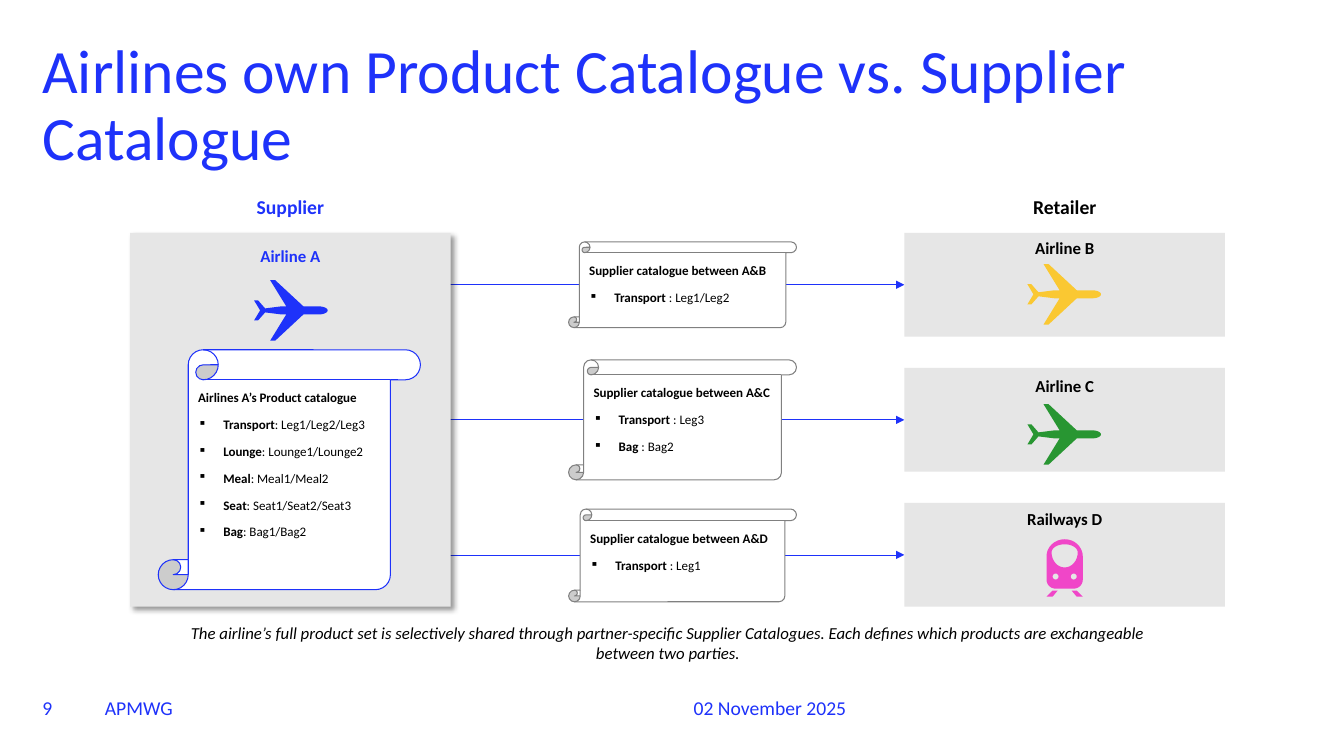
import math
from dataclasses import dataclass
from lxml import etree
from pptx import Presentation
from pptx.dml.color import RGBColor
from pptx.enum.shapes import MSO_CONNECTOR, MSO_SHAPE
from pptx.enum.text import MSO_ANCHOR, MSO_AUTO_SIZE, PP_ALIGN
from pptx.oxml import parse_xml
from pptx.oxml.ns import nsdecls, qn
from pptx.util import Inches, Pt

LINE, RECT, SCROLL = MSO_CONNECTOR.STRAIGHT, MSO_SHAPE.RECTANGLE, MSO_SHAPE.VERTICAL_SCROLL
TOP, BOTTOM = MSO_ANCHOR.TOP, MSO_ANCHOR.BOTTOM
LEFT, CENTER = PP_ALIGN.LEFT, PP_ALIGN.CENTER
FIXED = MSO_AUTO_SIZE.NONE


@dataclass
class Theme:
    font: str = "Calibri"
    blue: str = "1E32FA"
    black: str = "000000"
    white: str = "FFFFFF"
    panel: str = "E6E6E6"
    gray: str = "808080"
    gold: str = "FAC832"
    green: str = "289632"
    pink: str = "F046C8"
    title: float = 44
    head: float = 14
    label: float = 12
    small: float = 9.3


theme = Theme()


def write(frame, items, size, color=theme.black, bold=False, italic=False,
          align=LEFT, anchor=TOP, inset=0, before=0, spacing=None):
    """A string is a plain paragraph; a (label, value) pair is a bullet."""
    frame.word_wrap = True
    frame.auto_size = FIXED
    frame.vertical_anchor = anchor
    frame.margin_left = frame.margin_right = Inches(inset)
    frame.margin_top = frame.margin_bottom = Inches(inset)
    for i, item in enumerate(items):
        para = frame.add_paragraph() if i else frame.paragraphs[0]
        para.alignment = align
        if spacing:
            para.line_spacing = spacing
        if i:
            para.space_before = Pt(before)
        pair = isinstance(item, tuple)
        if pair:
            props = para._p.get_or_add_pPr()
            props.set("marL", str(Inches(0.25)))
            props.set("indent", str(-Inches(0.25)))
            etree.SubElement(props, qn("a:buSzPct")).set("val", "90000")
            etree.SubElement(props, qn("a:buChar")).set("char", "▪")
        for j, part in enumerate(item if pair else [item]):
            run = para.add_run()
            run.text = part
            font = run.font
            font.name, font.size = theme.font, Pt(size)
            font.bold, font.italic = bold and j == 0, italic
            font.color.rgb = RGBColor.from_string(color)


def arc(x, y, rx, ry, start, end):
    """Points along an ellipse; angles in degrees, clockwise from the right."""
    turns = [math.radians(start + (end - start) * k / 16) for k in range(17)]
    return [(x + rx * math.cos(t), y + ry * math.sin(t)) for t in turns]


deck = Presentation()
deck.slide_width, deck.slide_height = Inches(13.33), Inches(7.5)
slide = deck.slides.add_slide(deck.slide_layouts[5])
shapes = slide.shapes

# Grid: two columns of panels, three rows
sup, ret, wide = 1.29, 8.97, 3.18
top, high, step = 2.31, 1.03, 1.34
rows = [top + step * i for i in range(3)]

# Title
title = shapes.title
title.left, title.top, title.width, title.height = map(Inches, (0.42, 0.4, 12.5, 1.34))
write(title.text_frame, ["Airlines own Product Catalogue vs. Supplier Catalogue"],
      theme.title, theme.blue, spacing=0.9)

# Arrows from supplier to retailers
for y in rows:
    mid = Inches(y + high / 2)
    arrow = shapes.add_connector(LINE, Inches(4.35), mid, Inches(ret), mid)
    arrow.line.color.rgb = RGBColor.from_string(theme.blue)
    arrow.line.width = Pt(0.5)
    etree.SubElement(arrow.line._get_or_add_ln(), qn("a:tailEnd")).set("type", "triangle")
    etree.SubElement(arrow._element.spPr, qn("a:effectLst"))

# Panels and scrolls: kind, box, fill, line, text
panels = [(RECT, (ret, y, wide, high), theme.panel, None, []) for y in rows]
panels.append((RECT, (sup, top, wide, 2 * step + high), theme.panel, None, []))
scrolls = [
    (SCROLL, (5.64, 2.4, 2.26, 0.85), theme.white, theme.gray,
     ["Supplier catalogue between A&B", ("Transport", " : Leg1/Leg2")]),
    (SCROLL, (5.64, 3.57, 2.26, 1.19), theme.white, theme.gray,
     ["Supplier catalogue between A&C", ("Transport", " : Leg3"), ("Bag", " : Bag2")]),
    (SCROLL, (5.64, 5.05, 2.26, 0.92), theme.white, theme.gray,
     ["Supplier catalogue between A&D", ("Transport", " : Leg1")]),
    (SCROLL, (1.57, 3.47, 2.6, 2.38), theme.white, theme.blue,
     ["Airlines A’s Product catalogue", ("Transport", ": Leg1/Leg2/Leg3"),
      ("Lounge", ": Lounge1/Lounge2"), ("Meal", ": Meal1/Meal2"),
      ("Seat", ": Seat1/Seat2/Seat3"), ("Bag", ": Bag1/Bag2")]),
]
for kind, box, fill, edge, items in panels + scrolls:
    shape = shapes.add_shape(kind, *map(Inches, box))
    shape.fill.solid()
    shape.fill.fore_color.rgb = RGBColor.from_string(fill)
    if edge:
        shape.line.color.rgb = RGBColor.from_string(edge)
        shape.line.width = Pt(0.75)
    else:
        shape.line.fill.background()
    shape.shadow.inherit = False
    if kind == RECT and box[0] == sup:
        shape._element.spPr.find(qn("a:effectLst")).append(parse_xml(
            f'<a:outerShdw {nsdecls("a")} blurRad="{Pt(4)}" dist="{Pt(3)}" dir="2700000" '
            f'algn="tl" rotWithShape="0"><a:srgbClr val="{theme.black}">'
            '<a:alpha val="40000"/></a:srgbClr></a:outerShdw>'))
    if items:
        write(shape.text_frame, items, theme.small, bold=True, inset=0.1, before=8)

# Labels: text, box, format
bold = dict(bold=True, align=CENTER)
foot = dict(size=theme.head, color=theme.blue, anchor=BOTTOM)
labels = [
    ("Supplier", (sup, 1.93, wide, 0.24), dict(size=theme.head, color=theme.blue, **bold)),
    ("Retailer", (ret, 1.93, wide, 0.24), dict(size=theme.head, **bold)),
    ("Airline A", (sup, 2.44, wide, 0.2), dict(size=theme.label, color=theme.blue, **bold)),
    ("Airline B", (ret, 2.36, wide, 0.2), dict(size=theme.label, **bold)),
    ("Airline C", (ret, 3.73, wide, 0.2), dict(size=theme.label, **bold)),
    ("Railways D", (ret, 5.05, wide, 0.2), dict(size=theme.label, **bold)),
    ("The airline’s full product set is selectively shared through partner-specific "
     "Supplier Catalogues. Each defines which products are exchangeable between two parties.",
     (1.87, 6.18, 9.51, 0.4), dict(size=theme.label, italic=True, align=CENTER)),
    ("9", (0.42, 6.74, 0.5, 0.4), foot),
    ("APMWG", (1.04, 6.74, 5.41, 0.4), foot),
    ("02 November 2025", (6.88, 6.74, 3, 0.4), foot),
]
for text, box, form in labels:
    write(shapes.add_textbox(*map(Inches, box)).text_frame, [text], **form)

# Plane outline: upper half, mirrored across its axis
half = arc(0.64, 0.3, 0.09, 0.04, 0, -90) + [
    (0.49, 0.26), (0.21, 0), (0.16, 0), (0.32, 0.26), (0.27, 0.26),
    (0.11, 0.28), (0.04, 0.2), (0, 0.2), (0.06, 0.3)]
plane = [half + [(x, 0.6 - y) for x, y in reversed(half)]]

# Train outline: body, window, lamps, rails
train = [
    arc(0.18, 0.17, 0.18, 0.17, 180, 360) + arc(0.27, 0.4, 0.09, 0.09, 0, 90)
    + arc(0.09, 0.4, 0.09, 0.09, 90, 180),
    arc(0.18, 0.13, 0.13, 0.08, 180, 360) + arc(0.18, 0.13, 0.13, 0.15, 0, 180),
    arc(0.09, 0.37, 0.03, 0.03, 0, 360),
    arc(0.27, 0.37, 0.03, 0.03, 0, 360),
    [(0, 0.57), (0.06, 0.57), (0.11, 0.51), (0.06, 0.51)],
    [(0.36, 0.57), (0.3, 0.57), (0.25, 0.51), (0.3, 0.51)],
]

# Icons
for parts, left, up, color in [
    (plane, 2.52, 2.78, theme.blue),
    (plane, 10.19, 2.62, theme.gold),
    (plane, 10.19, 4.01, theme.green),
    (train, 10.38, 5.35, theme.pink),
]:
    loops = [[(Inches(left + x), Inches(up + y)) for x, y in part] for part in parts]
    pen = shapes.build_freeform(*loops[0][0])
    for i, loop in enumerate(loops):
        if i:
            pen.move_to(*loop[0])
        pen.add_line_segments(loop[1:], close=True)
    icon = pen.convert_to_shape()
    icon.fill.solid()
    icon.fill.fore_color.rgb = RGBColor.from_string(color)
    icon.line.fill.background()
    icon.shadow.inherit = False

deck.save("out.pptx")
